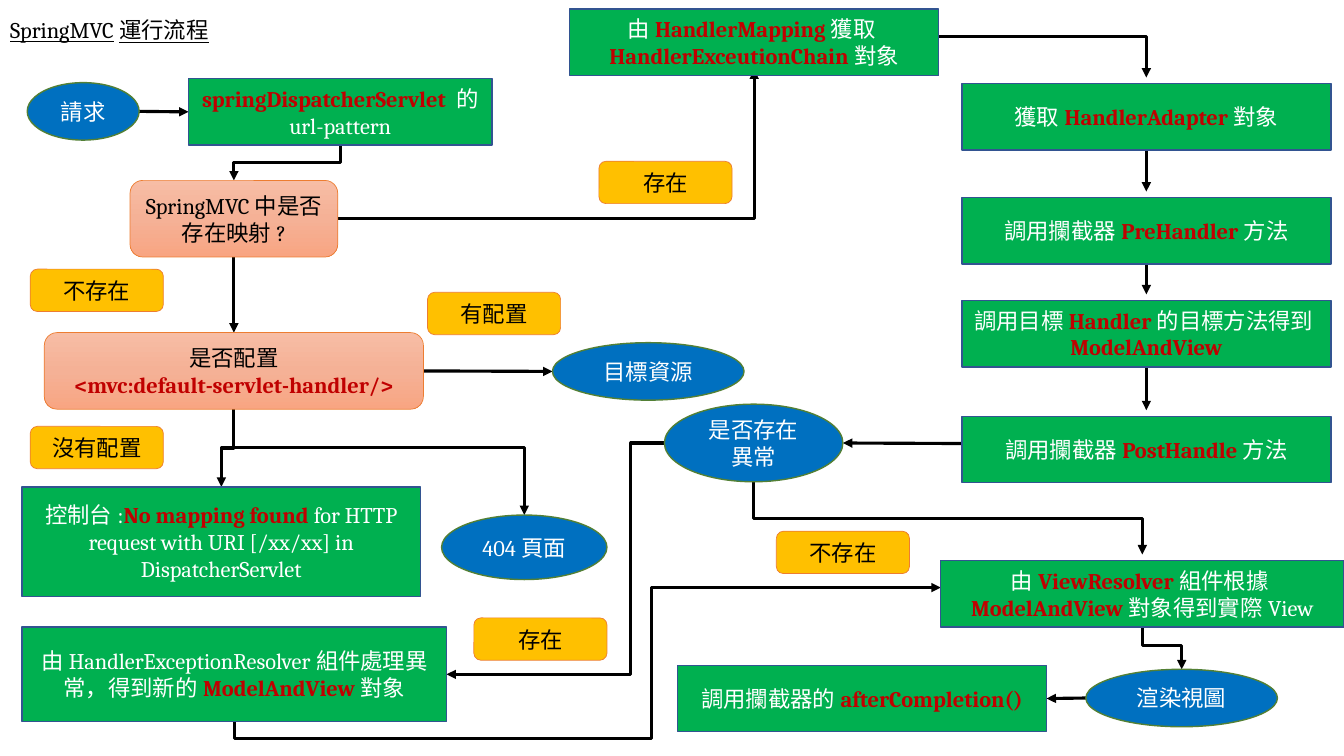
from copy import deepcopy
from pptx import Presentation
from pptx.dml.color import RGBColor
from pptx.enum.shapes import MSO_CONNECTOR, MSO_SHAPE
from pptx.enum.text import MSO_ANCHOR, PP_ALIGN
from pptx.oxml import parse_xml
from pptx.oxml.ns import nsdecls, qn
from pptx.util import Inches, Pt

RECT, ROUND, OVAL = MSO_SHAPE.RECTANGLE, MSO_SHAPE.ROUNDED_RECTANGLE, MSO_SHAPE.OVAL
STRAIGHT, ELBOW = MSO_CONNECTOR.STRAIGHT, MSO_CONNECTOR.ELBOW
LEFT, CENTER, MIDDLE = PP_ALIGN.LEFT, PP_ALIGN.CENTER, MSO_ANCHOR.MIDDLE

FONT, SIZE = "Cambria", 16
COLORS = {"black": "000000", "white": "FFFFFF", "red": "C00000", "green": "00B050",
          "navy": "325491", "blue": "0070C0", "olive": "538035", "amber": "FFC000",
          "orange": "ED7D31", "peach1": "F7BDA5", "peach2": "F5B196", "peach3": "F8A582"}
STYLES = {
    "step": (RECT, "green", "navy", 1, "white"),
    "end": (OVAL, "blue", "olive", 1, "white"),
    "choice": (ROUND, None, "orange", 0.5, "black"),
    "label": (ROUND, "amber", "orange", 0.5, "black"),
}

STEP, END, LABEL = (3.66, 0.66), (1.9, 0.57), (1.32, 0.42)
COL_A, COL_B, COL_R = 0.22, 0.3, 9.54
LIFT = 0.06

TITLE = "SpringMVC運行流程"
NODES = {
    "request": ("end", 0.27, 0.82, (1.11, 0.57), "請求"),
    "servlet": ("step", 1.87, 0.78, (3.01, 0.66), "*springDispatcherServlet *的 url-pattern"),
    "mapped": ("choice", 1.29, 1.79, (2.06, 0.76), "SpringMVC中是否存在映射?"),
    "default": ("choice", 0.44, 3.3, (3.76, 0.76), "是否配置\n*<mvc:default-servlet-handler/>*"),
    "console": ("step", COL_A, 4.83, (3.95, 1.09),
                "控制台:*No mapping found *for HTTP request with URI [/xx/xx] in DispatcherServlet"),
    "page404": ("end", 4.38, 5.11, (1.64, 0.64), "404頁面"),
    "target": ("end", 5.48, 3.4, END, "目標資源"),
    "resolver": ("step", COL_A, 6.22, (4.21, 0.94),
                 "由HandlerExceptionResolver組件處理異常，得到新的*ModelAndView*對象"),
    "error": ("end", 6.59, 4.01, (1.77, 0.77), "是否存在異常"),
    "chain": ("step", 5.65, 0.09, STEP, "由*HandlerMapping*獲取*HandlerExceutionChain*對象"),
    "adapter": ("step", COL_R, 0.83, STEP, "獲取*HandlerAdapter*對象"),
    "pre": ("step", COL_R, 1.96, STEP, "調用攔截器*PreHandler*方法"),
    "handler": ("step", COL_R, 2.98, STEP, "調用目標*Handler*的目標方法得到*ModelAndView*"),
    "post": ("step", COL_R, 4.13, STEP, "調用攔截器*PostHandle*方法"),
    "view": ("step", 9.33, 5.56, (4, 0.66), "由*ViewResolver*組件根據*ModelAndView*對象得到實際View"),
    "render": ("end", 10.77, 6.64, END, "渲染視圖"),
    "after": ("step", 6.72, 6.6, STEP, "調用攔截器的*afterCompletion()*"),
}
LIFTED = {"chain", "adapter", "pre", "handler", "post", "view"}
LABELS = [(COL_B, 2.67, "不存在"), (COL_B, 4.23, "沒有配置"), (5.94, 1.6, "存在"),
          (4.24, 2.9, "有配置"), (7.7, 5.27, "不存在"), (4.7, 6.13, "存在")]

ARROWS = [
    ("request", "right", "servlet", "left", 1, ()),
    ("servlet", "bottom", "mapped", "top", 3, ()),
    ("mapped", "bottom", "default", "top", 1, ()),
    ("mapped", "right", "chain", "bottom", 2, ()),
    ("default", "right", "target", "left", 1, ()),
    ("default", "bottom", "console", "top", 3, ()),
    ("default", "branch", "page404", "top", 2, ()),
    ("chain", "right", "adapter", "top", 2, ()),
    ("adapter", "bottom", "pre", "top", 1, ()),
    ("pre", "bottom", "handler", "top", 1, ()),
    ("handler", "bottom", "post", "top", 1, ()),
    ("post", "left", "error", "right", 1, ()),
    ("error", "left", "resolver", "right", 3, (0.154,)),
    ("error", "bottom", "view", "top", 3, ()),
    ("resolver", "bottom", "view", "left", 4, (-0.124, 0.59)),
    ("view", "bottom", "render", "top", 3, ()),
    ("render", "left", "after", "right", 1, ()),
]
SIDES = {"left": (0, 0.5), "right": (1, 0.5), "top": (0.5, 0), "bottom": (0.5, 1), "branch": (0.5, 1.5)}


def rgb(name):
    return RGBColor.from_string(COLORS[name])


def write(tf, text, color="black", align=CENTER, underline=None, spacing=None):
    tf.word_wrap, tf.vertical_anchor = True, MIDDLE
    for i, line in enumerate(text.split("\n")):
        p = tf.add_paragraph() if i else tf.paragraphs[0]
        p.alignment, p.line_spacing = align, spacing
        for j, part in enumerate(line.split("*")):
            if part:
                r = p.add_run()
                r.text = part
                f = r.font
                f.name, f.size, f.underline, f.bold = FONT, Pt(SIZE), underline, j % 2 == 1
                f.color.rgb = rgb("red" if j % 2 else color)


def add_node(s, style, x, y, size, text):
    kind, fill, line, width, color = STYLES[style]
    sp = s.shapes.add_shape(kind, *map(Inches, (x, y, *size)))
    sp.shadow.inherit = False
    if fill:
        sp.fill.solid()
        sp.fill.fore_color.rgb = rgb(fill)
    else:
        sp.fill.gradient()
        sp.fill.gradient_angle = 270
        stops = sp._element.spPr.find(qn("a:gradFill")).find(qn("a:gsLst"))
        stops.insert(1, deepcopy(stops[0]))
        for i, stop in enumerate(sp.fill.gradient_stops):
            stop.position = i / 2
            stop.color.rgb = rgb(f"peach{i + 1}")
    sp.line.color.rgb = rgb(line)
    sp.line.width = Pt(width)
    write(sp.text_frame, text, color)


def anchor(name, side):
    _, x, y, (w, h), _ = NODES[name]
    fx, fy = SIDES[side]
    return x + w * fx, y + h * fy - (LIFT if name in LIFTED else 0)


def add_arrow(s, start, side, end, end_side, legs, adjusts):
    (x1, y1), (x2, y2) = anchor(start, side), anchor(end, end_side)
    c = s.shapes.add_connector(STRAIGHT if legs == 1 else ELBOW, *map(Inches, (x1, y1, x2, y2)))
    pr = c._element.spPr
    if legs > 1:
        geom = pr.find(qn("a:prstGeom"))
        geom.set("prst", f"bentConnector{legs}")
        guides = geom.get_or_add_avLst()
        for i, value in enumerate(adjusts, 1):
            guides.append(parse_xml(
                f'<a:gd {nsdecls("a")} name="adj{i}" fmla="val {round(value * 100000)}"/>'))
    if legs > 2 and side == "bottom":
        w, h = abs(y2 - y1), abs(x2 - x1)
        c.left, c.top = Inches((x1 + x2 - w) / 2), Inches((y1 + y2 - h) / 2)
        c.width, c.height = Inches(w), Inches(h)
        up, right = y2 < y1, x2 > x1
        xfrm = pr.find(qn("a:xfrm"))
        xfrm.set("rot", str((270 if right and not up else 90) * 60000))
        xfrm.set("flipH", str(int(right)))
        xfrm.set("flipV", str(int(up)))
    c.line.color.rgb = rgb("black")
    c.line.width = Pt(2.25)
    c.line._get_or_add_ln().append(parse_xml(f'<a:tailEnd {nsdecls("a")} type="triangle"/>'))
    pr.append(parse_xml(f'<a:effectLst {nsdecls("a")}/>'))


def main():
    prs = Presentation()
    prs.slide_width, prs.slide_height = Inches(13.33), Inches(7.5)
    s = prs.slides.add_slide(prs.slide_layouts[5])
    title = s.shapes.title
    title.left, title.top, title.width, title.height = map(Inches, (0, -0.04, 6.17, 0.71))
    write(title.text_frame, TITLE, align=LEFT, underline=True, spacing=0.9)
    for arrow in ARROWS:
        add_arrow(s, *arrow)
    for node in NODES.values():
        add_node(s, *node)
    for x, y, text in LABELS:
        add_node(s, "label", x, y, LABEL, text)
    prs.save("out.pptx")


if __name__ == "__main__":
    main()
